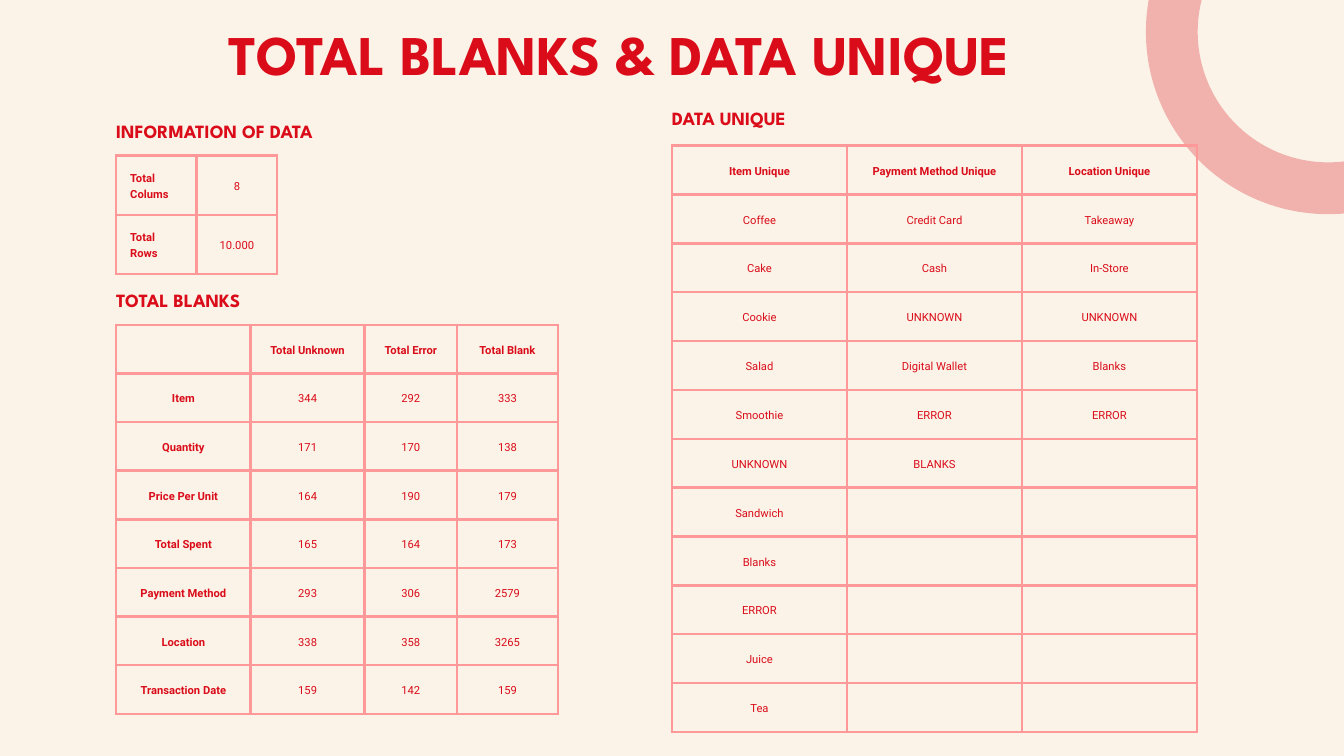
from dataclasses import dataclass

from lxml.etree import SubElement
from pptx import Presentation
from pptx.dml.color import RGBColor
from pptx.enum.shapes import MSO_SHAPE as Preset
from pptx.enum.text import MSO_ANCHOR as Anchor, MSO_AUTO_SIZE as AutoSize, PP_ALIGN as Align
from pptx.oxml.ns import qn
from pptx.util import Pt

PX = 9525
CREAM = RGBColor(0xFB, 0xF3, 0xE7)
RED = RGBColor(0xDA, 0x0C, 0x1A)
PINK = RGBColor(0xFF, 0x99, 0x99)
DISPLAY_FONT, BODY_FONT = "League Spartan", "Roboto"
CELL_MARGIN = 20
BORDER_WIDTH = Pt(3)


@dataclass(frozen=True)
class Heading:
    text: str
    left: int
    top: int
    width: int


@dataclass(frozen=True)
class DataTable:
    left: int
    top: int
    height: int
    columns: tuple[int, ...]
    rows: tuple[tuple[str, ...], ...]
    header_row: bool = False
    header_column: bool = False
    label_align: Align = Align.CENTER


HEADINGS = (
    Heading("INFORMATION OF DATA", 166, 178, 353),
    Heading("TOTAL BLANKS", 166, 420, 236),
    Heading("DATA UNIQUE", 960, 160, 236),
)

TABLES = (
    DataTable(166, 222, 142, (115, 115), (
        ("Total Colums", "8"),
        ("Total Rows", "10.000"),
    ), header_column=True, label_align=Align.LEFT),
    DataTable(166, 464, 556, (192, 163, 132, 144), (
        ("", "Total Unknown", "Total Error", "Total Blank"),
        ("Item", "344", "292", "333"),
        ("Quantity", "171", "170", "138"),
        ("Price Per Unit", "164", "190", "179"),
        ("Total Spent", "165", "164", "173"),
        ("Payment Method", "293", "306", "2579"),
        ("Location", "338", "358", "3265"),
        ("Transaction Date", "159", "142", "159"),
    ), header_row=True, header_column=True),
    DataTable(960, 208, 838, (250, 250, 250), (
        ("Item Unique", "Payment Method Unique", "Location Unique"),
        ("Coffee", "Credit Card", "Takeaway"),
        ("Cake", "Cash", "In-Store"),
        ("Cookie", "UNKNOWN", "UNKNOWN"),
        ("Salad", "Digital Wallet", "Blanks"),
        ("Smoothie", "ERROR", "ERROR"),
        ("UNKNOWN", "BLANKS", ""),
        ("Sandwich", "", ""),
        ("Blanks", "", ""),
        ("ERROR", "", ""),
        ("Juice", "", ""),
        ("Tea", "", ""),
    ), header_row=True),
)


def style_paragraph(paragraph, font: str, size: float, spacing: float,
                    align: Align, bold: bool = True) -> None:
    paragraph.alignment = align
    paragraph.line_spacing = Pt(spacing)
    for run in paragraph.runs:
        run.font.name = font
        run.font.size = Pt(size)
        run.font.bold = bold
        run.font.color.rgb = RED


def write_display_text(shape, text: str, size: float, spacing: float) -> None:
    frame = shape.text_frame
    frame.text = text
    frame.word_wrap = True
    frame.auto_size = AutoSize.NONE
    frame.vertical_anchor = Anchor.TOP
    frame.margin_left = frame.margin_right = frame.margin_top = frame.margin_bottom = 0
    style_paragraph(frame.paragraphs[0], DISPLAY_FONT, size, spacing, Align.LEFT)


def add_title(slide) -> None:
    title = slide.shapes.title
    title.left, title.top, title.width, title.height = 327 * PX, 50 * PX, 1265 * PX, 91 * PX
    write_display_text(title, "TOTAL BLANKS & DATA UNIQUE", 60, 55.8)


def add_corner_ring(slide) -> None:
    ring = slide.shapes.add_shape(Preset.OVAL, 1674 * PX, -178 * PX, 447 * PX, 447 * PX)
    ring.shadow.inherit = False
    ring.fill.background()
    ring.line.color.rgb = RED
    ring.line.width = Pt(55.5)
    color = ring.line._get_or_add_ln().find(f".//{qn('a:srgbClr')}")
    SubElement(color, qn("a:alpha"), val="27000")


def add_heading(slide, heading: Heading) -> None:
    box = slide.shapes.add_textbox(heading.left * PX, heading.top * PX,
                                   heading.width * PX, 30 * PX)
    write_display_text(box, heading.text, 20, 18.6)


def draw_cell_borders(cell) -> None:
    properties = cell._tc.get_or_add_tcPr()
    for side in ("a:lnL", "a:lnR", "a:lnT", "a:lnB"):
        border = SubElement(properties, qn(side), w=str(BORDER_WIDTH))
        fill = SubElement(border, qn("a:solidFill"))
        SubElement(fill, qn("a:srgbClr"), val=str(PINK))


def fill_cell(cell, text: str, align: Align, bold: bool) -> None:
    draw_cell_borders(cell)
    cell.fill.background()
    cell.vertical_anchor = Anchor.MIDDLE
    if text:
        margin = CELL_MARGIN * PX
        cell.margin_left = cell.margin_right = cell.margin_top = cell.margin_bottom = margin
        cell.text_frame.text = text
        style_paragraph(cell.text_frame.paragraphs[0], BODY_FONT, 12, 16.8, align, bold)


def add_data_table(slide, data: DataTable) -> None:
    table = slide.shapes.add_table(
        len(data.rows), len(data.columns), data.left * PX, data.top * PX,
        sum(data.columns) * PX, data.height * PX).table
    table.first_row = table.horz_banding = False
    for column, width in zip(table.columns, data.columns):
        column.width = width * PX
    for r, values in enumerate(data.rows):
        for c, value in enumerate(values):
            is_label = data.header_column and c == 0
            bold = is_label or (data.header_row and r == 0)
            align = data.label_align if is_label else Align.CENTER
            fill_cell(table.cell(r, c), value, align, bold)


def main() -> None:
    deck = Presentation()
    deck.slide_width, deck.slide_height = 1920 * PX, 1080 * PX
    slide = deck.slides.add_slide(deck.slide_layouts[5])
    slide.background.fill.solid()
    slide.background.fill.fore_color.rgb = CREAM
    add_title(slide)
    add_corner_ring(slide)
    for data in TABLES:
        add_data_table(slide, data)
    for heading in HEADINGS:
        add_heading(slide, heading)
    deck.save("out.pptx")


if __name__ == "__main__":
    main()
